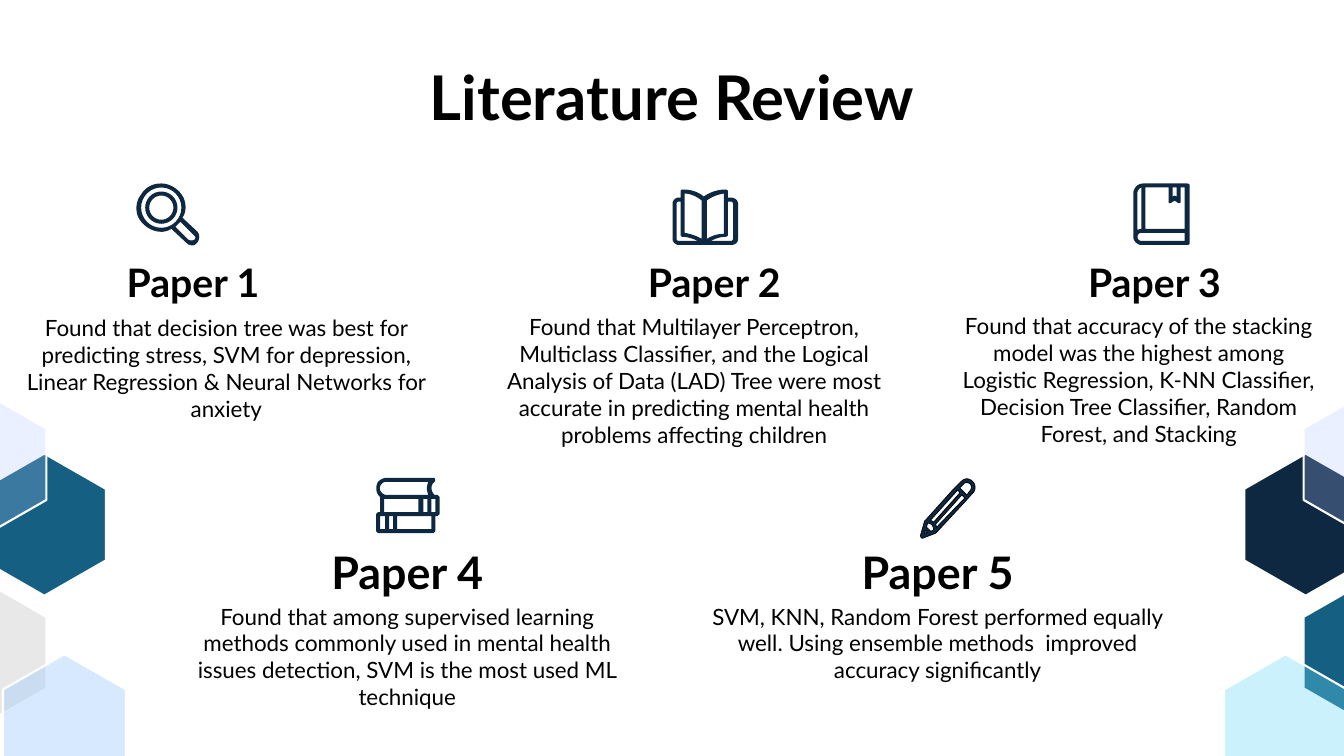
from lxml.etree import SubElement
from pptx import Presentation
from pptx.dml.color import RGBColor
from pptx.enum.text import MSO_ANCHOR, PP_ALIGN
from pptx.oxml.ns import qn
from pptx.util import Inches, Pt

WHITE = RGBColor(0xFF, 0xFF, 0xFF)
BLACK = RGBColor(0x00, 0x00, 0x00)
NAVY = RGBColor(0x0E, 0x28, 0x41)
TEAL = RGBColor(0x15, 0x60, 0x82)
PERIWINKLE = RGBColor(0xAF, 0xC7, 0xFF)
GRAY = RGBColor(0xE8, 0xE8, 0xE8)
SKY = RGBColor(0x9F, 0xCB, 0xFD)
CYAN = RGBColor(0x68, 0xDA, 0xF8)


def flatten(contour, steps=8):
    """Turn a contour of points (x, y) and cubic curves (six numbers) into points."""
    points = [contour[0]]
    for part in contour[1:]:
        if len(part) == 2:
            points.append(part)
            continue
        curve = [points[-1], part[:2], part[2:4], part[4:]]
        for step in range(1, steps + 1):
            t = step / steps
            weights = ((1 - t) ** 3, 3 * t * (1 - t) ** 2, 3 * t * t * (1 - t), t ** 3)
            points.append(tuple(sum(w * p[axis] for w, p in zip(weights, curve))
                                for axis in (0, 1)))
    return [(Inches(x), Inches(y)) for x, y in points]


def rectangle(left, top, right, bottom):
    return [(left, top), (right, top), (right, bottom), (left, bottom)]


def circle(x, y, r):
    k = 0.55 * r
    return [(x, y - r),
            (x + k, y - r, x + r, y - k, x + r, y),
            (x + r, y + k, x + k, y + r, x, y + r),
            (x - k, y + r, x - r, y + k, x - r, y),
            (x - r, y - k, x - k, y - r, x, y - r)]


class SlideBuilder:
    font = "Lato"
    inset = Inches(0.13)
    styles = {
        "title": (MSO_ANCHOR.TOP, 0.9, True),
        "heading": (MSO_ANCHOR.BOTTOM, 0.9, True),
        "body": (MSO_ANCHOR.TOP, None, False),
    }

    def __init__(self, page):
        self.page = page

    def apply(self, target, values):
        for name, value in values.items():
            setattr(target, name, value)

    def text(self, style, words, size, left, top, width, height):
        anchor, spacing, bold = self.styles[style]
        box = self.page.shapes.add_textbox(*map(Inches, (left, top, width, height)))
        frame = box.text_frame
        margins = {f"margin_{side}": self.inset for side in ("left", "top", "right", "bottom")}
        self.apply(frame, {"word_wrap": True, "vertical_anchor": anchor, **margins})
        para = frame.paragraphs[0]
        self.apply(para, {"alignment": PP_ALIGN.CENTER, "line_spacing": spacing})
        span = para.add_run()
        span.text = words
        self.apply(span.font, {"name": self.font, "size": Pt(size), "bold": bold})
        span.font.color.rgb = BLACK

    def outline(self, contours, color, opacity=100, line=None, line_width=0):
        builder = None
        for contour in contours:
            start, *points = flatten(contour)
            if builder is None:
                builder = self.page.shapes.build_freeform(*start, scale=1.0)
            else:
                builder.move_to(*start)
            builder.add_line_segments(points, close=True)
        shape = builder.convert_to_shape()
        shape.shadow.inherit = False
        shape.fill.solid()
        shape.fill.fore_color.rgb = color
        if opacity < 100:
            tint = shape.fill._xPr.find(qn("a:solidFill"))[0]
            SubElement(tint, qn("a:alpha")).set("val", str(opacity * 1000))
        if line is None:
            shape.line.fill.background()
        else:
            shape.line.color.rgb = line
            shape.line.width = Pt(line_width)

    def hexagon(self, left, top, color, opacity):
        middle, right = left + 0.61, left + 1.22
        corners = [(middle, top), (right, top + 0.35), (right, top + 1.06),
                   (middle, top + 1.41), (left, top + 1.06), (left, top + 0.35)]
        self.outline([corners], color, opacity, WHITE, 1.5)


# Side hexagons: left, top, then colour and opacity on each side
HEXAGONS = [
    (-0.17, 4.5, (TEAL, 100), (NAVY, 100)),
    (-0.76, 3.9, (PERIWINKLE, 25), (PERIWINKLE, 25)),
    (-0.76, 5.77, (GRAY, 100), (TEAL, 100)),
    (0.03, 6.49, (SKY, 41), (CYAN, 34)),
]
MIRROR_SUM = 12.17

# Icon outlines
LENS = [circle(1.6, 2.06, 0.16), circle(1.6, 2.06, 0.12)]
MAGNIFIER = [
    circle(1.6, 2.06, 0.2),
    [(1.79, 2.2), (1.92, 2.33), (1.96, 2.36, 1.93, 2.4, 1.87, 2.38), (1.74, 2.25)],
    [(1.6, 1.82), (1.51, 1.82, 1.44, 1.86, 1.4, 1.93),
     (1.35, 1.99, 1.34, 2.08, 1.37, 2.15), (1.41, 2.24, 1.51, 2.3, 1.6, 2.3),
     (1.63, 2.3, 1.67, 2.29, 1.7, 2.27), (1.85, 2.41),
     (1.87, 2.43, 1.9, 2.44, 1.93, 2.43), (1.98, 2.4, 1.99, 2.34, 1.96, 2.3),
     (1.81, 2.16), (1.85, 2.1, 1.85, 2.03, 1.82, 1.96), (1.78, 1.88, 1.69, 1.82, 1.6, 1.82)],
]
OPEN_BOOK = [
    [(6.79, 1.92), (6.85, 1.92, 6.91, 1.95, 6.96, 1.99), (6.96, 2.37),
     (6.91, 2.34, 6.85, 2.32, 6.79, 2.31)],
    [(7.18, 1.92), (7.18, 2.32), (7.11, 2.32, 7.06, 2.34, 7.01, 2.37), (7.01, 1.99),
     (7.06, 1.95, 7.12, 1.93, 7.18, 1.92)],
    [(6.75, 2), (6.75, 2.33), (6.75, 2.34, 6.76, 2.35, 6.77, 2.35),
     (6.82, 2.35, 6.88, 2.37, 6.92, 2.39), (6.73, 2.39),
     (6.72, 2.39, 6.71, 2.38, 6.71, 2.37), (6.71, 2.02), (6.71, 2.01, 6.72, 2, 6.73, 2)],
    [(7.25, 2), (7.26, 2, 7.27, 2.01, 7.27, 2.02), (7.27, 2.37),
     (7.27, 2.38, 7.26, 2.39, 7.25, 2.39), (7.05, 2.39),
     (7.09, 2.37, 7.14, 2.35, 7.19, 2.35), (7.21, 2.35, 7.22, 2.34, 7.22, 2.33), (7.22, 2)],
    [(6.77, 1.88), (6.76, 1.88, 6.75, 1.89, 6.75, 1.9), (6.75, 1.96), (6.73, 1.96),
     (6.7, 1.96, 6.67, 1.99, 6.67, 2.02), (6.67, 2.37),
     (6.67, 2.4, 6.7, 2.43, 6.73, 2.43), (7.25, 2.43),
     (7.29, 2.43, 7.32, 2.41, 7.32, 2.37), (7.32, 2.02),
     (7.32, 1.99, 7.29, 1.96, 7.25, 1.96), (7.22, 1.96), (7.22, 1.9),
     (7.22, 1.89, 7.21, 1.88, 7.2, 1.88), (7.13, 1.88, 7.05, 1.9, 6.98, 1.95),
     (6.92, 1.9, 6.85, 1.88, 6.77, 1.88)],
]
CLOSED_BOOK = [
    [(11.67, 1.86), (11.67, 1.95), (11.65, 1.94), (11.63, 1.95), (11.63, 1.86)],
    [(11.75, 1.86), (11.75, 2.27), (11.36, 2.27), (11.36, 1.86), (11.59, 1.86), (11.59, 2),
     (11.59, 2.02, 11.61, 2.02, 11.62, 2.01), (11.65, 1.99), (11.68, 2.01),
     (11.69, 2.02, 11.71, 2.02, 11.71, 2), (11.71, 1.86)],
    [(11.32, 1.86), (11.32, 2.27), (11.28, 2.28), (11.28, 1.92),
     (11.28, 1.89, 11.3, 1.87, 11.32, 1.86)],
    [(11.75, 2.31), (11.75, 2.39), (11.32, 2.39), (11.27, 2.39, 11.27, 2.31, 11.32, 2.31)],
    [(11.34, 1.82), (11.28, 1.82, 11.24, 1.87, 11.24, 1.92), (11.24, 2.35),
     (11.24, 2.39, 11.28, 2.43, 11.32, 2.43), (11.78, 2.43),
     (11.79, 2.43, 11.8, 2.42, 11.8, 2.41), (11.8, 1.84),
     (11.8, 1.83, 11.79, 1.82, 11.77, 1.82)],
]
BOOK_STACK = [
    [(4.25, 4.78), (4.23, 4.82, 4.23, 4.87, 4.25, 4.91), (3.83, 4.91),
     (3.81, 4.91, 3.78, 4.89, 3.77, 4.86), (3.76, 4.82, 3.79, 4.78, 3.83, 4.78)],
    *(rectangle(left, 4.95, right, 5.08)
      for left, right in ((3.81, 4.15), (4.2, 4.24), (4.28, 4.32))),
    *(rectangle(left, 5.12, right, 5.25)
      for left, right in ((3.77, 3.82), (3.86, 3.9), (3.94, 4.28))),
    [(3.84, 4.74), (3.8, 4.74, 3.77, 4.76, 3.75, 4.78), (3.72, 4.83, 3.73, 4.9, 3.77, 4.93),
     (3.77, 5.08), (3.75, 5.08), (3.73, 5.1), (3.73, 5.27), (3.75, 5.29), (4.3, 5.29),
     (4.32, 5.27), (4.32, 5.12), (4.34, 5.12), (4.36, 5.1), (4.36, 4.93), (4.34, 4.91),
     (4.31, 4.91), (4.27, 4.87, 4.27, 4.81, 4.31, 4.78), (4.32, 4.77, 4.32, 4.74, 4.3, 4.74)],
]
PENCIL = [
    [(9.59, 4.79), (9.6, 4.79, 9.61, 4.79, 9.62, 4.8), (9.64, 4.82, 9.64, 4.85, 9.62, 4.87),
     (9.59, 4.91), (9.52, 4.84), (9.56, 4.8), (9.56, 4.79, 9.58, 4.79, 9.59, 4.79)],
    [(9.5, 4.86), (9.52, 4.89), (9.26, 5.18), (9.23, 5.16)],
    [(9.54, 4.91), (9.57, 4.94), (9.29, 5.23), (9.28, 5.2)],
    [(9.2, 5.19), (9.24, 5.19, 9.26, 5.22, 9.26, 5.26), (9.23, 5.27), (9.19, 5.23)],
    [(9.18, 5.26), (9.2, 5.28), (9.17, 5.29)],
    [(9.59, 4.75), (9.57, 4.75, 9.55, 4.76, 9.53, 4.78), (9.45, 4.86), (9.18, 5.16),
     (9.17, 5.17), (9.13, 5.31), (9.13, 5.33, 9.14, 5.34, 9.15, 5.34), (9.28, 5.29),
     (9.29, 5.28), (9.56, 4.99), (9.64, 4.9), (9.68, 4.87, 9.68, 4.81, 9.65, 4.78),
     (9.63, 4.76, 9.61, 4.75, 9.59, 4.75)],
]

# Papers: heading size, heading box (left, top, width), body box (left, top, width), finding
PAPERS = [
    (28, (0, 2.43, 3.83), (0, 2.99, 4.49), "Found that decision tree was best for predicting stress, SVM for depression, Linear Regression & Neural Networks for anxiety"),
    (28, (5.17, 2.43, 3.83), (4.64, 2.98, 4.49), "Found that Multilayer Perceptron, Multiclass Classifier, and the Logical Analysis of Data (LAD) Tree were most accurate in predicting mental health problems affecting children"),
    (28, (9.56, 2.43, 3.78), (9.38, 2.97, 3.83), "Found that accuracy of the stacking model was the highest among Logistic Regression, K-NN Classifier, Decision Tree Classifier, Random Forest, and Stacking"),
    (32, (1.67, 5.33, 4.74), (1.67, 5.85, 4.74), "Found that among supervised learning methods commonly used in mental health issues detection, SVM is the most used ML technique"),
    (32, (6.93, 5.33, 4.74), (6.93, 5.85, 4.74), "SVM, KNN, Random Forest performed equally well. Using ensemble methods  improved accuracy significantly"),
]


def main():
    deck = Presentation()
    deck.slide_width, deck.slide_height = Inches(13.33), Inches(7.5)
    slide = SlideBuilder(deck.slides.add_slide(deck.slide_layouts[6]))

    # Hexagons on both sides
    for left, top, left_paint, right_paint in HEXAGONS:
        slide.hexagon(left, top, *left_paint)
        slide.hexagon(MIRROR_SUM - left, top, *right_paint)

    # Title and papers
    slide.text("title", "Literature Review", 44, 1.05, 0.54, 11.23, 0.84)
    for number, (size, heading, body, finding) in enumerate(PAPERS, 1):
        slide.text("body", finding, 16, *body, 0.84)
        slide.text("heading", f"Paper {number}", size, *heading, 0.74)

    # Icons
    for icon in (MAGNIFIER, LENS, OPEN_BOOK, CLOSED_BOOK, BOOK_STACK):
        slide.outline(icon, NAVY)
    slide.outline(PENCIL, NAVY, line=BLACK, line_width=0.5)

    deck.save("out.pptx")


if __name__ == "__main__":
    main()
